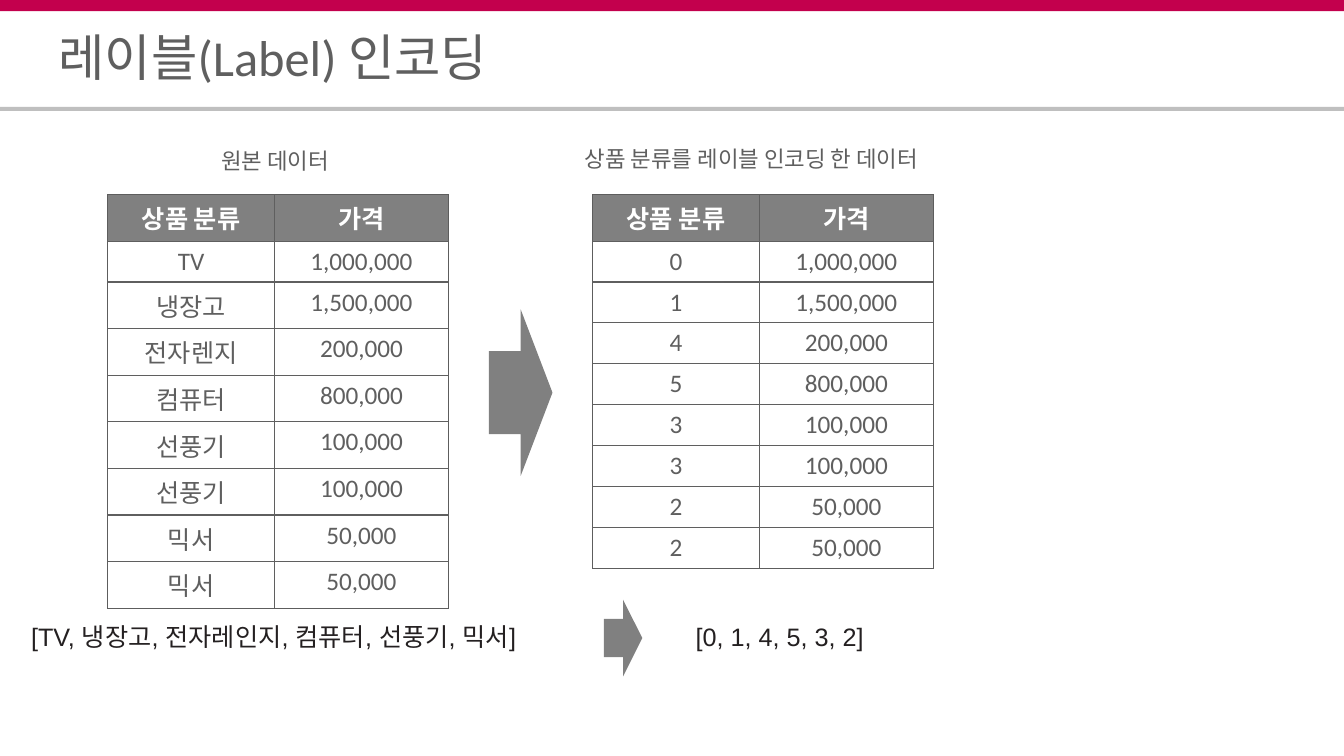
import pptx
import pptx.dml.color
import pptx.enum.shapes
import pptx.enum.text
import pptx.oxml.ns
import pptx.util
from lxml import etree
from pptx.util import Inches

# Content
TITLE = "레이블(Label) 인코딩"
HEADINGS = ("상품 분류", "가격")
PRODUCTS = ("TV", "냉장고", "전자렌지", "컴퓨터", "선풍기", "선풍기", "믹서", "믹서")
CODES = ("0", "1", "4", "5", "3", "3", "2", "2")
PRICES = ("1,000,000", "1,500,000", "200,000", "800,000",
          "100,000", "100,000", "50,000", "50,000")
TABLES = [(1.07, PRODUCTS), (5.88, CODES)]  # left edge, first column
CAPTIONS = [
    ("원본 데이터", (1, 1.43, 3.46, 0.52), "CENTER"),
    ("상품 분류를 레이블 인코딩 한 데이터", (5.8, 1.41, 3.78, 0.52), "LEFT"),
]
SUMMARIES = [
    ("[TV, 냉장고, 전자레인지, 컴퓨터, 선풍기, 믹서]", (0.21, 6.11, 5.35, 0.71)),
    ("[0, 1, 4, 5, 3, 2]", (6.8, 6.11, 2.31, 0.71)),
]
BARS = [((0, 0, 13.33, 0.11), "accent"), ((0, 1.06, 13.33, 0.04), "rule")]
ARROWS = [(4.85, 3.07, 0.63, 1.65), (5.99, 5.95, 0.38, 0.76)]

# Layout and theme
TABLE_TOP, TABLE_HEIGHT = 1.93, 3.65
COLUMN_WIDTHS = (1.65, 1.73)
THEME = {
    "accent": "C3004D", "rule": "BFBFBF", "text": "5F5F5F", "dark": "242021",
    "gray": "808080", "white": "FFFFFF", "outer": "5D5D5D",
    "font": "Calibri", "summary_font": "Arial",
    "title_size": 36, "caption_size": 16, "body_size": 18,
}


def color(name):
    return pptx.dml.color.RGBColor.from_string(THEME[name])


def write(frame, text, size, ink="text", font="font", align="LEFT",
          bold=False, spacing=None):
    paragraph = frame.paragraphs[0]
    paragraph.alignment = getattr(pptx.enum.text.PP_ALIGN, align)
    if spacing:
        paragraph.line_spacing = spacing
    run = paragraph.add_run()
    run.text = text
    run.font.size = pptx.util.Pt(THEME[size])
    run.font.name = THEME[font]
    run.font.bold = bold
    run.font.color.rgb = color(ink)


def clear_margins(frame):
    frame.margin_left = frame.margin_right = 0
    frame.margin_top = frame.margin_bottom = 0


def add_text_box(slide, box):
    frame = slide.shapes.add_textbox(*map(Inches, box)).text_frame
    frame.word_wrap = True
    return frame


def add_filled(slide, preset, box, fill):
    kind = getattr(pptx.enum.shapes.MSO_SHAPE, preset)
    block = slide.shapes.add_shape(kind, *map(Inches, box))
    block.shadow.inherit = False
    block.fill.solid()
    block.fill.fore_color.rgb = color(fill)
    block.line.fill.background()


def set_borders(cell, outer_sides):
    properties = cell._tc.get_or_add_tcPr()
    for side in "LRTB":
        outer = side in outer_sides
        width = pptx.util.Pt(0.75 if outer else 1)
        line = etree.SubElement(properties, pptx.oxml.ns.qn(f"a:ln{side}"), w=str(width))
        fill = etree.SubElement(line, pptx.oxml.ns.qn("a:solidFill"))
        etree.SubElement(fill, pptx.oxml.ns.qn("a:srgbClr"),
                         val=THEME["outer" if outer else "text"])


def add_price_table(slide, left, categories):
    rows = [HEADINGS, *zip(categories, PRICES)]
    last = len(rows) - 1
    table = slide.shapes.add_table(
        len(rows), len(HEADINGS), Inches(left), Inches(TABLE_TOP),
        Inches(sum(COLUMN_WIDTHS)), Inches(TABLE_HEIGHT)).table
    table.first_row = table.horz_banding = False
    for column, width in zip(table.columns, COLUMN_WIDTHS):
        column.width = Inches(width)
    for r, values in enumerate(rows):
        for c, value in enumerate(values):
            cell = table.cell(r, c)
            header = r == 0
            outer_sides = "LR"[c] + ("T" if header else "B" if r == last else "")
            set_borders(cell, outer_sides)
            if header:
                cell.fill.solid()
                cell.fill.fore_color.rgb = color("gray")
            else:
                cell.fill.background()
            write(cell.text_frame, value, "body_size", align="CENTER",
                  ink="white" if header else "text", bold=header)


def main():
    deck = pptx.Presentation()
    deck.slide_width, deck.slide_height = Inches(13.33), Inches(7.5)
    slide = deck.slides.add_slide(deck.slide_layouts[5])

    # Header
    for box, fill in BARS:
        add_filled(slide, "RECTANGLE", box, fill)
    title = slide.shapes.title
    title.left, title.top = Inches(0.58), Inches(0.33)
    title.width, title.height = Inches(12.17), Inches(0.58)
    clear_margins(title.text_frame)
    title.text_frame.vertical_anchor = pptx.enum.text.MSO_ANCHOR.MIDDLE
    write(title.text_frame, TITLE, "title_size", spacing=0.8)

    # Tables and their captions
    for left, categories in TABLES:
        add_price_table(slide, left, categories)
    for text, box, align in CAPTIONS:
        caption = add_text_box(slide, box)
        clear_margins(caption)
        write(caption, text, "caption_size", align=align, spacing=1.1)

    # Category lists and arrows
    for text, box in SUMMARIES:
        write(add_text_box(slide, box), text, "body_size", "dark", "summary_font")
    for box in ARROWS:
        add_filled(slide, "RIGHT_ARROW", box, "gray")

    deck.save("out.pptx")


if __name__ == "__main__":
    main()
